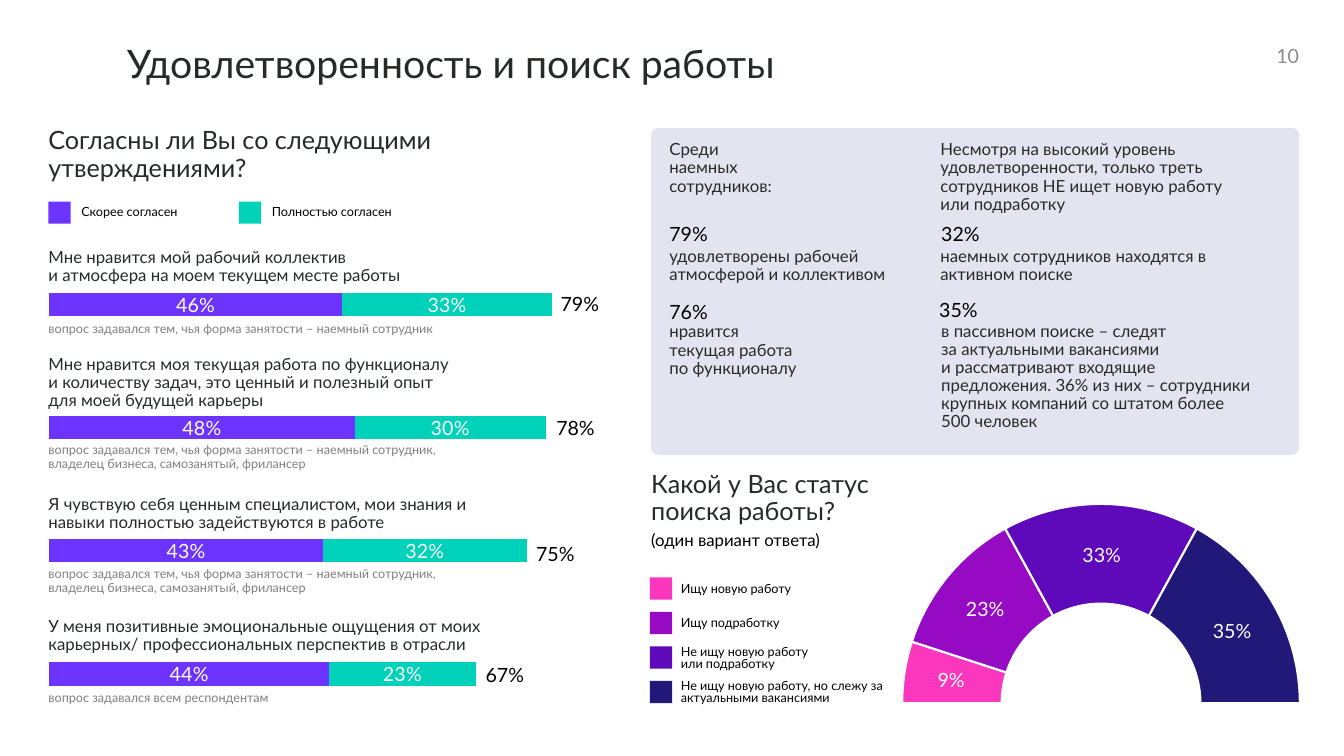
from lxml import etree
from pptx import Presentation
from pptx import util as u
from pptx.chart.data import CategoryChartData
from pptx.dml.color import RGBColor
from pptx.enum import chart as c, shapes, text
from pptx.oxml import parse_xml
from pptx.oxml.ns import nsdecls, qn

COLORS = {
    "ink": "262B28", "black": "000000", "white": "FFFFFF", "note": "808080",
    "page": "8C8C8C", "panel": "CACAE5", "violet": "6D33FF", "teal": "00D2B9",
    "pink": "FA37BD", "purple": "960AC3", "indigo": "5E0ABA", "navy": "22187A",
}
LEFT, STATUS_LEFT, SWATCH = 1.22, 16.41, 0.56


class SlideBuilder:
    """Draws styled elements on the current slide, with lengths in centimetres."""

    font = "Lato"

    def __init__(self, presentation):
        self.slide = presentation.slides.add_slide(presentation.slide_layouts[6])

    def color(self, name):
        return RGBColor.from_string(COLORS[name])

    def box(self, left, top, width, height):
        return [u.Cm(length) for length in (left, top, width, height)]

    def text(self, words, left, top, width, size, color="ink", lines=1, spacing=0.9,
             align="LEFT"):
        height = round(lines * size * spacing * 0.0423, 2)
        shape = self.slide.shapes.add_textbox(*self.box(left, top, width, height))
        frame = shape.text_frame
        frame.word_wrap = True
        frame.margin_left = frame.margin_right = frame.margin_top = frame.margin_bottom = 0
        paragraph = frame.paragraphs[0]
        paragraph.text = words
        paragraph.alignment = getattr(text.PP_ALIGN, align)
        paragraph.line_spacing = spacing
        self.style(paragraph.font, size, color)

    def style(self, font, size, color):
        font.name = self.font
        font.size = u.Pt(size)
        font.color.rgb = self.color(color)

    def shape(self, kind, left, top, width, height, color):
        shape = self.slide.shapes.add_shape(kind, *self.box(left, top, width, height))
        shape.shadow.inherit = False
        shape.fill.solid()
        shape.fill.fore_color.rgb = self.color(color)
        shape.line.fill.background()
        return shape

    def swatch(self, left, top, color):
        self.shape(shapes.MSO_SHAPE.RECTANGLE, left, top, SWATCH, SWATCH, color)

    def panel(self, left, top, width, height):
        panel = self.shape(shapes.MSO_SHAPE.ROUNDED_RECTANGLE, left, top, width, height, "panel")
        panel.adjustments[0] = 0.02
        fill = panel.fill._xPr.find(qn("a:solidFill"))
        etree.SubElement(fill[0], qn("a:alpha"), val="50000")

    def chart(self, kind, place, categories, series, layout):
        data = CategoryChartData(number_format="0%")
        data.categories = categories
        for name, values in series:
            data.add_series(name, values)
        chart = self.slide.shapes.add_chart(kind, *self.box(*place), data).chart
        chart.has_legend = chart.has_title = False
        chart.font.name = "Calibri"
        chart.font.size = u.Pt(10)
        chart.font.color.rgb = self.color("black")
        area = chart._chartSpace.chart.plotArea
        for old in area.findall(qn("c:layout")):
            area.remove(old)
        sizes = "".join(f'<c:{tag} val="{value}"/>' for tag, value in zip("xywh", layout))
        area.insert(0, parse_xml(
            f'<c:layout {nsdecls("c")}><c:manualLayout><c:layoutTarget val="inner"/>'
            f'<c:xMode val="edge"/><c:yMode val="edge"/>{sizes}</c:manualLayout></c:layout>'))
        return chart

    def stacked_bars(self, place, categories, series, colors):
        chart = self.chart(c.XL_CHART_TYPE.BAR_STACKED, place, categories, series,
                           (0, 0, 0.961, 1))
        for axis in (chart.category_axis, chart.value_axis):
            axis.visible = False
            axis.has_major_gridlines = False
        chart.value_axis.minimum_scale = 0
        chart.value_axis.maximum_scale = 0.905
        plot = chart.plots[0]
        plot.vary_by_categories = False
        plot.gap_width, plot.overlap = 430, 100
        for bars, color in zip(plot.series, colors):
            bars.format.fill.solid()
            bars.format.fill.fore_color.rgb = self.color(color)
            labels = bars.data_labels
            labels.show_value = True
            labels.number_format, labels.number_format_is_linked = "0%", False
            labels.position = c.XL_LABEL_POSITION.CENTER
            self.style(labels.font, 14, "white")

    def half_doughnut(self, place, categories, series, colors):
        chart = self.chart(c.XL_CHART_TYPE.DOUGHNUT, place, categories, [series],
                           (0, 0.039, 0.997, 0.961))
        plot = chart.plots[0]
        plot.vary_by_categories = True
        plot.has_data_labels = False
        ring = chart._chartSpace.chart.plotArea.find(qn("c:doughnutChart"))
        ring.find(qn("c:firstSliceAng")).set("val", "270")
        ring.find(qn("c:holeSize")).set("val", "50")
        points = plot.series[0].points
        for index, color in enumerate(colors):
            form = points[index].format
            form.fill.solid()
            form.fill.fore_color.rgb = self.color(color)
            form.line.color.rgb = self.color("white")
            form.line.width = u.Pt(1.5)
        hidden = points[len(colors)].format
        hidden.fill.background()
        hidden.line.fill.background()


def main():
    presentation = Presentation()
    presentation.slide_width, presentation.slide_height = u.Cm(33.87), u.Cm(19.05)
    slide = SlideBuilder(presentation)

    slide.panel(STATUS_LEFT, 3.23, 16.33, 8.23)
    slide.text("Удовлетворенность и поиск работы", 3.2, 1.12, 22.02, 28)
    slide.text("10", 31.32, 1.11, 1.42, 14, "page", spacing=1, align="RIGHT")

    slide.stacked_bars((1.24, 6.12, 15.11, 12.42), ["1", "2", "3", "4"],
                       [("Скорее согласен", (0.44, 0.43, 0.48, 0.46)),
                        ("Полностью согласен", (0.23, 0.32, 0.3, 0.33))],
                       ("violet", "teal"))
    slide.text("Согласны ли Вы со следующими\vутверждениями?", LEFT, 3.23, 10.46, 18, lines=2)
    for left, color, answer in ((LEFT, "violet", "Скорее согласен"),
                                (6.02, "teal", "Полностью согласен")):
        slide.swatch(left, 5.08, color)
        slide.text(answer, left + 0.83, 5.18, 3.8, 9, "black")

    employed = "вопрос задавался тем, чья форма занятости – наемный сотрудник"
    working = employed + ", владелец бизнеса, самозанятый, фрилансер"
    statements = (
        ("Мне нравится мой рабочий коллектив\vи атмосфера на моем текущем месте работы",
         6.27, 11.18, 2, "79%", 14.08, 7.42, employed, 8.13, 1),
        ("Мне нравится моя текущая работа по функционалу\vи количеству задач, это ценный "
         "и полезный опыт\vдля моей будущей карьеры",
         8.97, 12.55, 3, "78%", 13.97, 10.54, working, 11.18, 2),
        ("Я чувствую себя ценным специалистом, мои знания и навыки полностью "
         "задействуются в работе",
         12.5, 11.18, 2, "75%", 13.46, 13.72, working, 14.3, 2),
        ("У меня позитивные эмоциональные ощущения от моих карьерных/ профессиональных "
         "перспектив в отрасли",
         15.57, 11.76, 2, "67%", 12.19, 16.76, "вопрос задавался всем респондентам", 17.42, 1),
    )
    for (statement, top, width, lines, total, total_left, total_top,
         note, note_top, note_lines) in statements:
        slide.text(statement, LEFT, top, width, 12, lines=lines)
        slide.text(total, total_left, total_top, 1.07, 14, "black", align="CENTER")
        slide.text(note, LEFT, note_top, 10.1, 9, "note", note_lines)

    findings = (
        ("Среди\vнаемных\vсотрудников:", 16.87, 3.56, 3.66, 3),
        ("удовлетворены рабочей атмосферой и коллективом", 16.87, 6.25, 6.15, 2),
        ("нравится\vтекущая работа\vпо функционалу", 16.87, 8.15, 4.19, 3),
        ("Несмотря на высокий уровень удовлетворенности, только треть сотрудников "
         "НЕ ищет новую работу или подработку", 23.7, 3.56, 7.82, 4),
        ("наемных сотрудников находятся в активном поиске", 23.7, 6.25, 7.21, 2),
        ("в пассивном поиске – следят\vза актуальными вакансиями\vи рассматривают входящие\v"
         "предложения. 36% из них – сотрудники крупных компаний со штатом более\v500 человек",
         23.72, 8.13, 9.12, 6),
    )
    for finding, left, top, width, lines in findings:
        slide.text(finding, left, top, width, 12, lines=lines)
    for share, left, top in (("79%", 16.87, 5.66), ("76%", 16.87, 7.62),
                             ("32%", 23.72, 5.66), ("35%", 23.67, 7.57)):
        slide.text(share, left, top, 1.47, 14, "black")

    statuses = (
        ("Ищу новую работу", 1, "pink", "9%", 23.5, 16.89, 0.94),
        ("Ищу подработку", 1, "purple", "23%", 24.13, 15.11, 1.4),
        ("Не ищу новую работу\vили подработку", 2, "indigo", "33%", 27.18, 13.74, 1.17),
        ("Не ищу новую работу, но слежу за актуальными вакансиями", 2, "navy",
         "35%", 30.4, 15.67, 1.3),
    )
    slide.half_doughnut((22.71, 12.29, 10.08, 10.46), ["1", "2", "3", "4", "5"],
                        ("Статус", (5, 12, 16, 17, 50)), [status[2] for status in statuses])
    slide.text("Какой у Вас статус поиска работы?", STATUS_LEFT, 11.89, 6.07, 18, lines=2)
    slide.text("(один вариант ответа)", STATUS_LEFT, 13.41, 5.26, 12, "black")
    for row, (status, lines, color, share, left, top, width) in enumerate(statuses):
        swatch_top = 14.55 + 0.87 * row
        slide.swatch(16.38, swatch_top, color)
        slide.text(status, 17.16, swatch_top + (0.15 if lines == 1 else 0), 5.28, 9,
                   "black", lines, 0.8)
        slide.text(share, left, top, width, 14, "white", align="CENTER")

    presentation.save("out.pptx")


if __name__ == "__main__":
    main()
